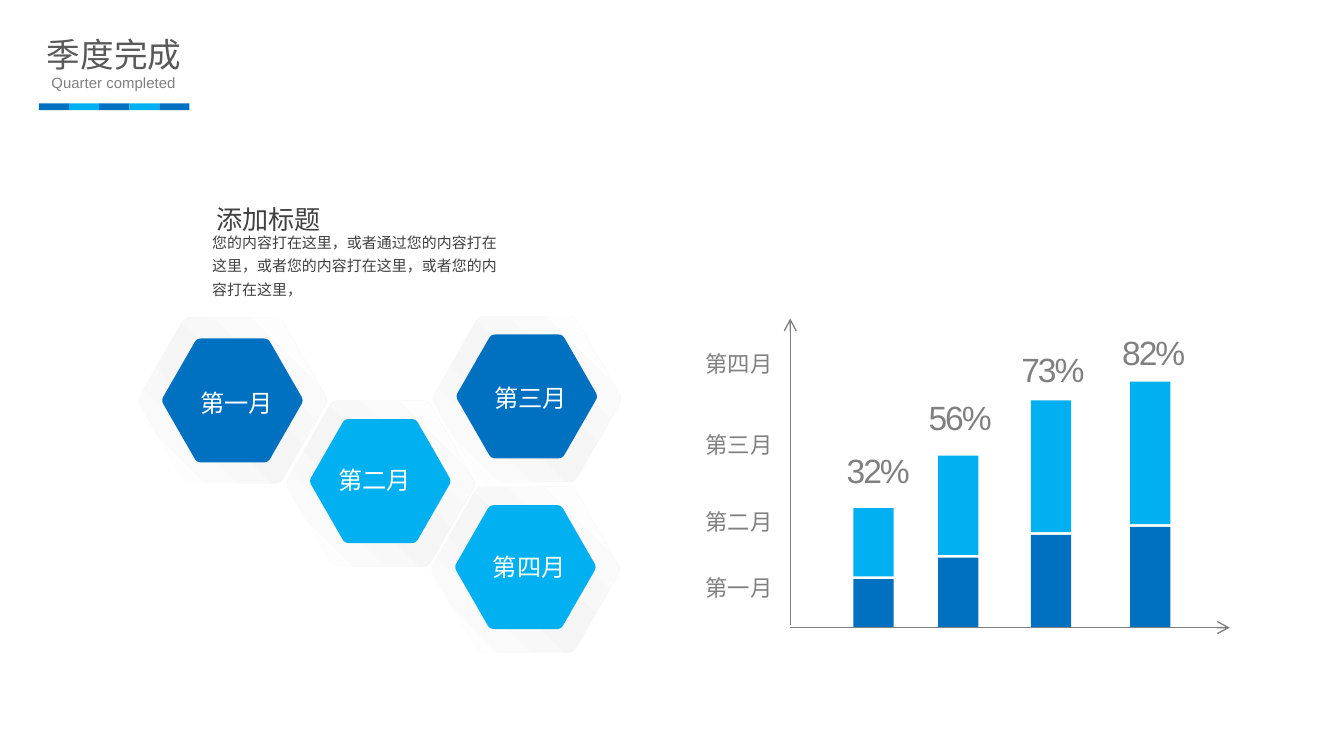
from copy import deepcopy

from lxml.etree import SubElement
from pptx import Presentation
from pptx.dml.color import RGBColor
from pptx.enum.shapes import MSO_CONNECTOR as Connector, MSO_SHAPE as Preset
from pptx.enum.text import MSO_AUTO_SIZE as AutoSize, PP_ALIGN as Align
from pptx.oxml.ns import qn
from pptx.util import Inches, Pt

BLUE, SKY, GREY, DARK, WHITE = "0070C0", "00B0F0", "808080", "404040", "FFFFFF"
HEXAGON = [(1, 0), (0.5, 0.87), (-0.5, 0.87), (-1, 0), (-0.5, -0.87), (0.5, -0.87)]
CORNER_CUT = 0.06

BODY = "您的内容打在这里，或者通过您的内容打在这里，或者您的内容打在这里，或者您的内容打在这里，"
# label, centre x, frame centre y, core centre y, colour, label left, label top
MONTHS = [
    ("第一月", 1.73, 2.98, 2.98, BLUE, 1.39, 2.84),
    ("第二月", 2.83, 3.6, 3.58, SKY, 2.42, 3.41),
    ("第三月", 3.92, 2.97, 2.95, BLUE, 3.58, 2.8),
    ("第四月", 3.91, 4.24, 4.22, SKY, 3.57, 4.06),
]
AXIS_LABEL_TOPS = [4.22, 3.73, 3.16, 2.56]
# label, bar left, lower height, upper height, label left, label top
BARS = [
    ("32%", 6.35, 0.36, 0.51, 6.22, 3.31),
    ("56%", 6.98, 0.52, 0.74, 6.83, 2.91),
    ("73%", 7.67, 0.69, 0.98, 7.52, 2.56),
    ("82%", 8.41, 0.75, 1.06, 8.27, 2.43),
]
BASELINE, BAR_WIDTH, BAR_GAP = 4.67, 0.3, 0.02


def color(value):
    return RGBColor.from_string(value)


def paint(shape, fill):
    shape.shadow.inherit = False
    shape.line.fill.background()
    if fill:
        shape.fill.solid()
        shape.fill.fore_color.rgb = color(fill)


def add_text(page, text, at, size, fill, inset=(0.1, 0.05), spacing=None, **formats):
    """Add a one-paragraph box; spacing is letter spacing in hundredths of a point."""
    box = page.shapes.add_textbox(*map(Inches, at))
    frame = box.text_frame
    across, down = map(Inches, inset)
    settings = {
        "word_wrap": True, "auto_size": AutoSize.SHAPE_TO_FIT_TEXT,
        "margin_left": across, "margin_right": across,
        "margin_top": down, "margin_bottom": down,
    }
    for name, value in settings.items():
        setattr(frame, name, value)
    para = frame.paragraphs[0]
    for name, value in formats.items():
        setattr(para, name, value)
    span = para.add_run()
    span.text = text
    for name, value in {"name": "Arial", "size": Pt(size)}.items():
        setattr(span.font, name, value)
    span.font.color.rgb = color(fill)
    if spacing:
        span.font._element.set("spc", str(spacing))


def add_rect(page, at, fill):
    paint(page.shapes.add_shape(Preset.RECTANGLE, *map(Inches, at)), fill)


def add_arrow(page, start, end):
    arrow = page.shapes.add_connector(
        Connector.STRAIGHT, *map(Inches, start), *map(Inches, end))
    arrow.line.width = Pt(0.75)
    arrow.line.color.rgb = color(GREY)
    SubElement(arrow.line._get_or_add_ln(), qn("a:tailEnd"), type="arrow")
    SubElement(arrow._element.spPr, qn("a:effectLst"))


def rounded_outline():
    """Points of a unit hexagon, each corner replaced by a quadratic curve."""
    points = []
    for i, corner in enumerate(HEXAGON):
        before, after = HEXAGON[i - 1], HEXAGON[(i + 1) % len(HEXAGON)]
        for t in (0, 0.25, 0.5, 0.75, 1):
            pull_before, pull_after = CORNER_CUT * (1 - t) ** 2, CORNER_CUT * t ** 2
            points.append(tuple(
                c + pull_before * (b - c) + pull_after * (a - c)
                for b, c, a in zip(before, corner, after)))
    return points


def add_hexagon(page, center, radius, fill=None):
    points = [tuple(Inches(c + radius * p) for c, p in zip(center, point))
              for point in rounded_outline()]
    builder = page.shapes.build_freeform(*points[0])
    builder.add_line_segments(points[1:], close=True)
    hexagon = builder.convert_to_shape()
    paint(hexagon, fill)
    return hexagon


def add_sheen(shape):
    """Fill with a diagonal white, pale grey, white gradient."""
    fill = shape.fill
    fill.gradient()
    fill.gradient_angle = 45
    stop_list = shape._element.spPr.find(qn("a:gradFill")).find(qn("a:gsLst"))
    stop_list.append(deepcopy(stop_list[-1]))
    sheen = [(0, WHITE), (0.47, "F5F5F5"), (1, WHITE)]
    for stop, (position, value) in zip(fill.gradient_stops, sheen):
        stop.position = position
        stop.color.rgb = color(value)


def add_heading(page):
    add_text(page, "季度完成", (0.27, 0.21, 1.16, 0.38), 18, "595959",
             inset=(0.07, 0.04), alignment=Align.CENTER)
    add_text(page, "Quarter completed", (0.2, 0.5, 1.29, 0.24), 8, GREY,
             alignment=Align.CENTER)
    width = 1.12 / 5
    for i in range(5):
        add_rect(page, (0.29 + width * i, 0.77, width, 0.05), (BLUE, SKY)[i % 2])


def add_months(page):
    for label, x, frame_y, core_y, fill, left, top in MONTHS:
        add_hexagon(page, (x, frame_y), 0.72, WHITE)
        add_sheen(add_hexagon(page, (x, frame_y), 0.71))
        add_hexagon(page, (x, core_y), 0.53, fill)
        add_text(page, label, (left, top, 0.87, 0.32), 13, WHITE)


def add_bars(page):
    for label, left, lower, upper, label_left, label_top in BARS:
        split = BASELINE - lower
        add_rect(page, (left, split, BAR_WIDTH, lower), BLUE)
        add_rect(page, (left, split - BAR_GAP - upper, BAR_WIDTH, upper), SKY)
        add_text(page, label, (label_left, label_top, 0.73, 0.38), 18, GREY,
                 inset=(0.08, 0.04), spacing=-110)
    add_arrow(page, (5.88, BASELINE), (9.15, BASELINE))
    add_arrow(page, (5.88, 4.65), (5.88, 2.37))
    for month, top in zip(MONTHS, AXIS_LABEL_TOPS):
        add_text(page, month[0], (5.15, top, 0.73, 0.3), 12, GREY)


def main():
    deck = Presentation()
    deck.slide_width = Inches(10)
    deck.slide_height = deck.slide_width * 9 // 16
    page = deck.slides.add_slide(deck.slide_layouts[6])
    add_bars(page)
    add_months(page)
    add_text(page, BODY, (1.48, 1.65, 2.39, 0.63), 8, DARK, line_spacing=1.3)
    add_text(page, "添加标题", (1.51, 1.4, 1.04, 0.31), 14, DARK,
             inset=(0.1, 0), line_spacing=1.5)
    add_heading(page)
    deck.save("out.pptx")


if __name__ == "__main__":
    main()
